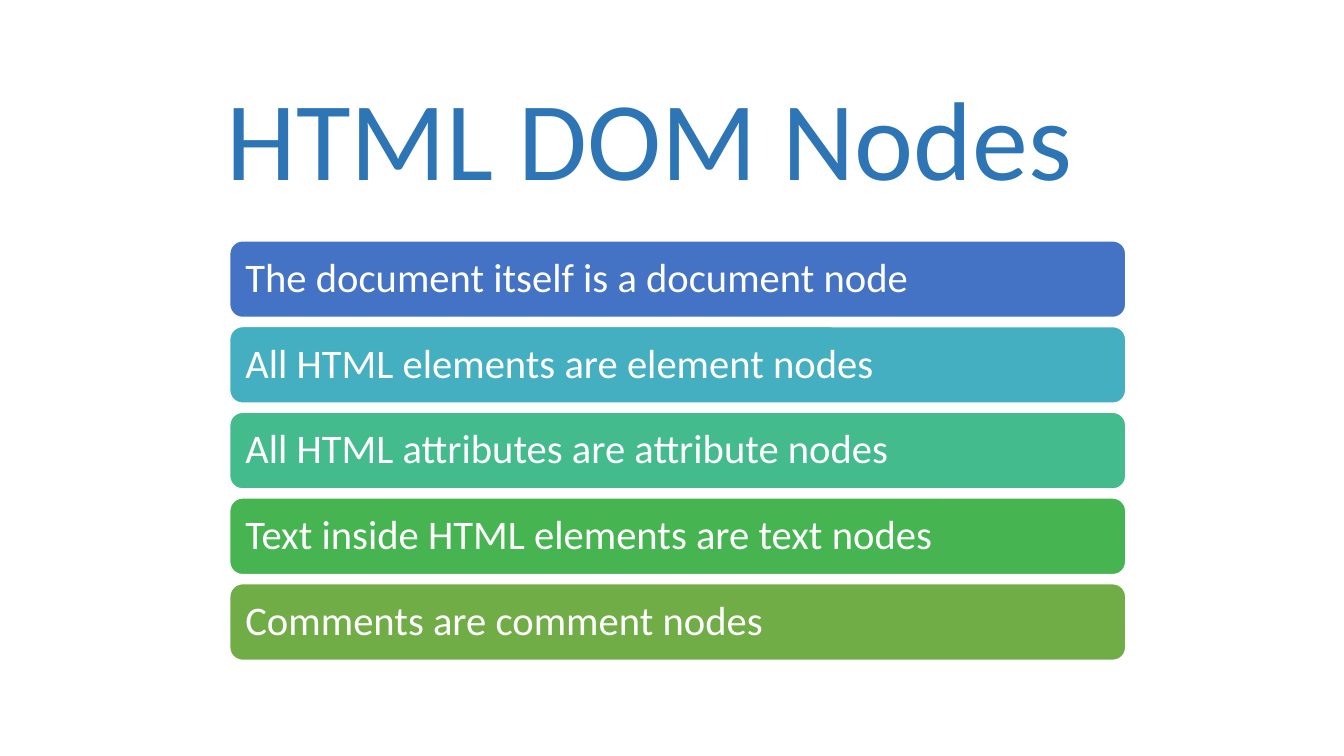
from pptx import Presentation
from pptx.dml.color import RGBColor
from pptx.enum.shapes import MSO_SHAPE
from pptx.enum.text import MSO_ANCHOR, MSO_AUTO_SIZE, PP_ALIGN
from pptx.util import Cm, Pt

FONT = "Calibri"
COLORS = {
    "white": "FFFFFF",
    "title": "2E75B6",
    "blue": "4472C4",
    "teal": "43AFC0",
    "mint": "43BB8D",
    "green": "45B451",
    "olive": "70AD47",
}
NODES = [
    ("The document itself is a document node", "blue"),
    ("All HTML elements are element nodes", "teal"),
    ("All HTML attributes are attribute nodes", "mint"),
    ("Text inside HTML elements are text nodes", "green"),
    ("Comments are comment nodes", "olive"),
]


def rgb(name):
    return RGBColor.from_string(COLORS[name])


def set_text(sp, text, size, color):
    tf = sp.text_frame
    tf.text = text
    tf.word_wrap = True
    p = tf.paragraphs[0]
    p.alignment = PP_ALIGN.LEFT
    r = p.runs[0]
    r.font.name = FONT
    r.font.size = Pt(size)
    r.font.color.rgb = rgb(color)
    return tf


def add_title(s, left, top, width, height):
    sp = s.shapes.add_textbox(Cm(left), Cm(top), Cm(width), Cm(height))
    sp.fill.solid()
    sp.fill.fore_color.rgb = rgb("white")
    tf = set_text(sp, "HTML DOM Nodes", 80, "title")
    tf.auto_size = MSO_AUTO_SIZE.SHAPE_TO_FIT_TEXT


def add_node_list(s, left, top, width, height, gap=0.23):
    bar_height = (height - gap * (len(NODES) - 1)) / len(NODES)
    for i, (text, color) in enumerate(NODES):
        y = top + i * (bar_height + gap)
        sp = s.shapes.add_shape(MSO_SHAPE.ROUNDED_RECTANGLE,
                                Cm(left), Cm(y), Cm(width), Cm(bar_height))
        sp.shadow.inherit = False
        sp.fill.solid()
        sp.fill.fore_color.rgb = rgb(color)
        sp.line.color.rgb = rgb("white")
        sp.line.width = Pt(1)
        tf = set_text(sp, text, 29, "white")
        tf.vertical_anchor = MSO_ANCHOR.MIDDLE
        tf.margin_left = tf.margin_right = Cm(0.3)
        tf.margin_top = tf.margin_bottom = Cm(0.3)
        tf.paragraphs[0].line_spacing = 0.9


def main():
    prs = Presentation()
    prs.slide_width, prs.slide_height = Cm(33.87), Cm(19.05)
    s = prs.slides.add_slide(prs.slide_layouts[6])

    # Title
    add_title(s, 5.46, 1.6, 23.22, 3.68)

    # Stack of node types
    add_node_list(s, 5.79, 6.07, 22.58, 10.57)

    prs.save("out.pptx")


if __name__ == "__main__":
    main()
